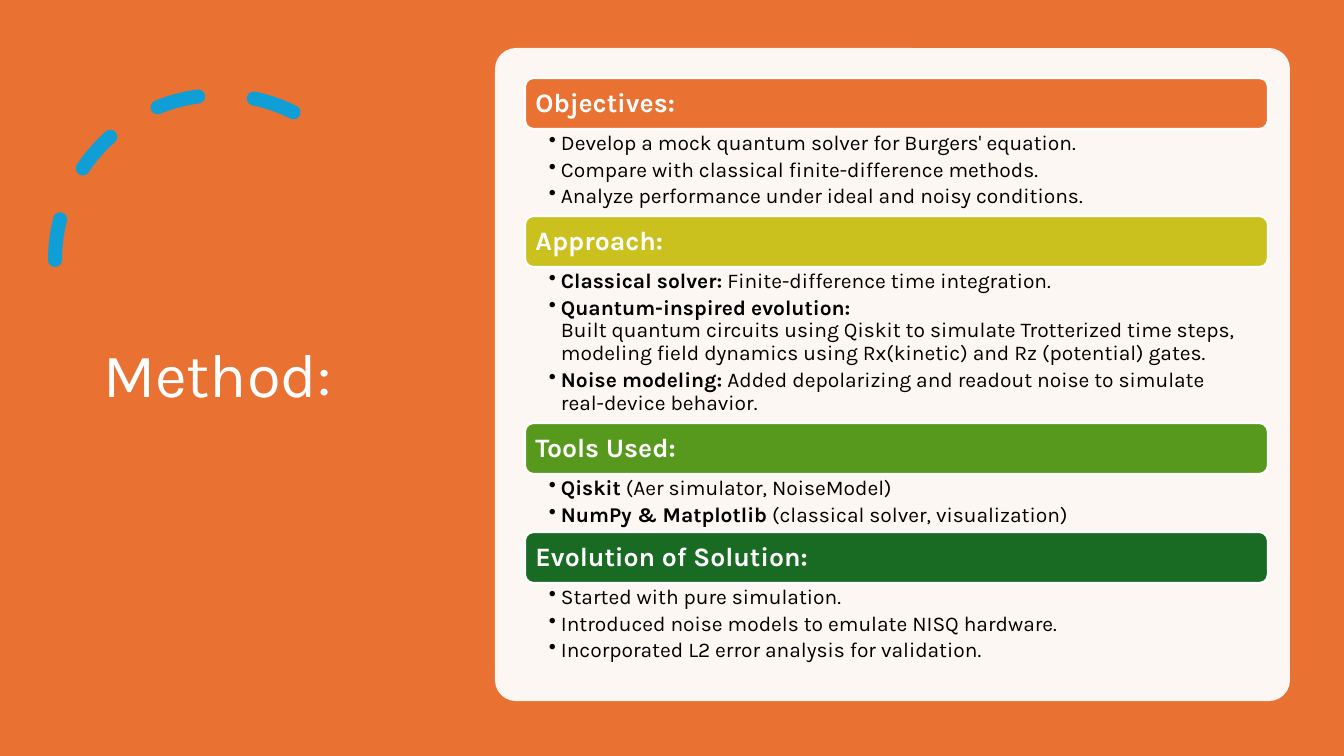
import pptx
import pptx.util
import pptx.dml.color
import pptx.enum.dml
import pptx.enum.shapes
import pptx.enum.text
import pptx.oxml.ns
import lxml.etree

PX = 914400 / 100.8
FONT = "Karla"
RGB = pptx.dml.color.RGBColor
ORANGE = RGB(0xE9, 0x71, 0x32)
YELLOW = RGB(0xCB, 0xC1, 0x1E)
GREEN = RGB(0x56, 0x99, 0x1D)
DARK_GREEN = RGB(0x19, 0x6B, 0x24)
BLUE = RGB(0x0F, 0x9E, 0xD5)
WHITE = RGB(0xFF, 0xFF, 0xFF)
BLACK = RGB(0, 0, 0)
SHAPES = pptx.enum.shapes.MSO_SHAPE
ANCHOR = pptx.enum.text.MSO_ANCHOR
LEFT = pptx.enum.text.PP_ALIGN.LEFT
qn = pptx.oxml.ns.qn

# Heading, bar colour, height of the list in px, list items as (bold lead, rest)
SECTIONS = [
    ("Objectives:", ORANGE, 87, [
        ("", "Develop a mock quantum solver for Burgers' equation."),
        ("", "Compare with classical finite-difference methods."),
        ("", "Analyze performance under ideal and noisy conditions.")]),
    ("Approach:", YELLOW, 156, [
        ("Classical solver:", " Finite-difference time integration."),
        ("Quantum-inspired evolution:",
         "\nBuilt quantum circuits using Qiskit to simulate Trotterized time steps, "
         "modeling field dynamics using Rx(kinetic) and Rz (potential) gates."),
        ("Noise modeling:",
         " Added depolarizing and readout noise to simulate real-device behavior.")]),
    ("Tools Used:", GREEN, 58, [
        ("Qiskit", " (Aer simulator, NoiseModel)"),
        ("NumPy & Matplotlib", " (classical solver, visualization)")]),
    ("Evolution of Solution:", DARK_GREEN, 87, [
        ("", "Started with pure simulation."),
        ("", "Introduced noise models to emulate NISQ hardware."),
        ("", "Incorporated L2 error analysis for validation.")]),
]
BAR_LEFT, BAR_WIDTH, BAR_HEIGHT = 525, 743, 51


def px(*lengths):
    return [pptx.util.Emu(round(length * PX)) for length in lengths]


def style(run, size, color, bold=False):
    run.font.name = FONT
    run.font.size = pptx.util.Pt(size)
    run.font.color.rgb = color
    run.font.bold = bold


presentation = pptx.Presentation()
presentation.slide_width, presentation.slide_height = px(1344, 756)
slide = presentation.slides.add_slide(presentation.slide_layouts[5])
slide.background.fill.solid()
slide.background.fill.fore_color.rgb = ORANGE

# Title
title = slide.shapes.title
title.left, title.top, title.width, title.height = px(93, 71, 326, 614)
title.text_frame.text = "Method:"
title.text_frame.auto_size = pptx.enum.text.MSO_AUTO_SIZE.NONE
title.text_frame.vertical_anchor = ANCHOR.MIDDLE
paragraph = title.text_frame.paragraphs[0]
paragraph.alignment = LEFT
paragraph.line_spacing = 0.9
style(paragraph.runs[0], 44, WHITE)

# Dashed arc, mirrored so that the dashes start at its right end
arc = slide.shapes.add_shape(SHAPES.ARC, *px(55, 95, 330, 330))
arc.adjustments[0] = 146.13
arc.adjustments[1] = 0
arc.shadow.inherit = False
arc.fill.background()
arc.line.color.rgb = BLUE
arc.line.width = pptx.util.Pt(10)
arc.line.dash_style = pptx.enum.dml.MSO_LINE.DASH
arc.element.spPr.find(qn("a:ln")).set("cap", "rnd")
arc.element.spPr.find(qn("a:xfrm")).set("flipH", "1")

# Light panel, slightly transparent
panel = slide.shapes.add_shape(SHAPES.ROUNDED_RECTANGLE, *px(495, 48, 795, 653))
panel.adjustments[0] = 0.032
panel.shadow.inherit = False
panel.fill.solid()
panel.fill.fore_color.rgb = WHITE
panel.line.fill.background()
panel_color = panel.element.spPr.find(qn("a:solidFill"))[0]
lxml.etree.SubElement(panel_color, qn("a:alpha")).set("val", "95000")

# Sections stacked from the top: a coloured bar, then its list
top = 78
for heading, color, list_height, items in SECTIONS:
    bar = slide.shapes.add_shape(
        SHAPES.ROUNDED_RECTANGLE, *px(BAR_LEFT, top, BAR_WIDTH, BAR_HEIGHT))
    bar.shadow.inherit = False
    bar.fill.solid()
    bar.fill.fore_color.rgb = color
    bar.line.color.rgb = WHITE
    bar.line.width = pptx.util.Pt(1.5)
    frame = bar.text_frame
    frame.margin_left, frame.margin_top, frame.margin_right, frame.margin_bottom = px(8, 8, 8, 8)
    frame.vertical_anchor = ANCHOR.MIDDLE
    frame.text = heading
    paragraph = frame.paragraphs[0]
    paragraph.alignment = LEFT
    paragraph.line_spacing = 0.9
    style(paragraph.runs[0], 19, WHITE, True)
    top += BAR_HEIGHT

    box = slide.shapes.add_textbox(*px(BAR_LEFT, top, BAR_WIDTH, list_height))
    frame = box.text_frame
    frame.word_wrap = True
    frame.margin_left, frame.margin_top, frame.margin_right, frame.margin_bottom = px(24, 3, 15, 3)
    for index, (lead, rest) in enumerate(items):
        paragraph = frame.add_paragraph() if index else frame.paragraphs[0]
        paragraph.text = lead + rest.replace("\n", "\v") if not lead else lead
        style(paragraph.runs[0], 15, BLACK, bool(lead))
        if lead:
            if rest.startswith("\n"):
                paragraph.add_line_break()
            run = paragraph.add_run()
            run.text = rest.lstrip("\n")
            style(run, 15, BLACK)
        paragraph.line_spacing = 0.9
        paragraph.space_after = pptx.util.Pt(3)
        properties = paragraph._p.get_or_add_pPr()
        indent = px(12)[0]
        properties.set("marL", str(indent))
        properties.set("indent", str(-indent))
        lxml.etree.SubElement(properties, qn("a:buChar")).set("char", "•")
    top += list_height

presentation.save("out.pptx")
